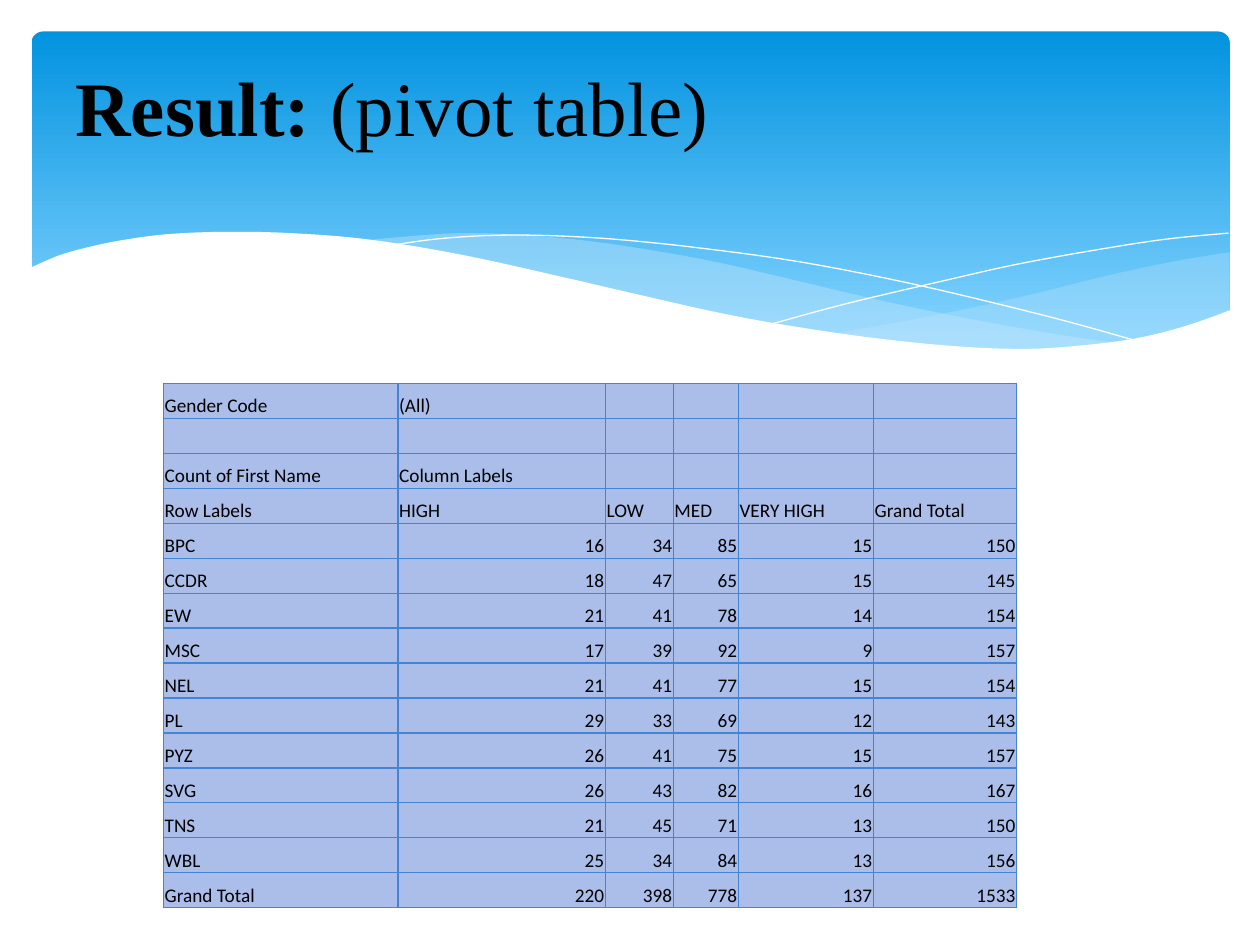
from lxml import etree
from pptx import Presentation
from pptx.dml.color import RGBColor
from pptx.enum import shapes, text
from pptx.oxml.ns import qn
from pptx.util import Pt

COUNTS = {
    "BPC": [16, 34, 85, 15],
    "CCDR": [18, 47, 65, 15],
    "EW": [21, 41, 78, 14],
    "MSC": [17, 39, 92, 9],
    "NEL": [21, 41, 77, 15],
    "PL": [29, 33, 69, 12],
    "PYZ": [26, 41, 75, 15],
    "SVG": [26, 43, 82, 16],
    "TNS": [21, 45, 71, 13],
    "WBL": [25, 34, 84, 13],
}
COLUMN_WIDTHS = [134, 118.6, 38.8, 37.2, 77.2, 81.8]
ROW_HEIGHT = 20

RIGHT_WAVE_TOP = [(702.7, 144), (673, 149), (641.5, 155.5), (620, 160.6),
                  (579.6, 170.6), (525, 182), (476, 190.8)]
RIGHT_WAVE_BOTTOM = [(476, 190.8), (507.6, 195), (545, 198.7), (586, 200.2),
                     (621.4, 198), (657.4, 192.2), (683.3, 185), (702.7, 177.8)]
MIDDLE_WAVE_TOP = [(643, 196.6), (602.6, 190.8), (558, 182.9), (508.3, 172.8),
                   (452.9, 159.8), (409.7, 149.8), (370, 142.6), (334.8, 137.5),
                   (302.4, 134.6), (273.6, 133.2), (247.7, 133.9), (206, 137.5)]
MIDDLE_WAVE_BOTTOM = [(206, 137.5), (246.2, 143.3), (290.9, 151.9), (323.3, 159.8),
                      (381.6, 172.8), (432.7, 183.6), (478.8, 191.5), (519.8, 197.3),
                      (556.6, 199.4), (589, 200.2), (617, 199.4), (643, 196.6)]
FALLING_LINE = [(222.5, 140.4), (247.7, 136.8), (278.6, 134.6), (311.8, 134.6),
                (352, 136.8), (400.3, 141.8), (457.9, 149.8), (523.4, 162.7),
                (598.3, 180.7), (653, 195.8)]
RISING_LINE = [(441.4, 185), (483.8, 173.5), (538.6, 160.6), (580.3, 151.2),
               (623.5, 143.3), (665.3, 136.8), (702, 133.2)]
FRONT_WAVE = [(703.4, 177.1), (676.8, 186.5), (647.3, 193.7), (612, 198),
              (582.5, 199.4), (547.9, 198), (509.8, 194.4), (466.6, 188.6),
              (416.9, 180), (362.2, 167.8), (321.8, 158.4), (262.8, 145.4),
              (210.2, 136.8), (165.6, 133.2), (127.4, 132.5), (95, 133.9),
              (68.4, 137.5), (48.2, 141.8), (33.1, 146.2), (16.6, 153.4)]
FRONT_CORNERS = [(16.6, 236.9), (703.4, 236.9)]


def color(value):
    return RGBColor.from_string(value)


def curve(knots, steps=5):
    """Return points on a Catmull-Rom curve through the knots."""
    padded = [knots[0], *knots, knots[-1]]
    points = [knots[0]]
    for a, b, c, d in zip(padded, padded[1:], padded[2:], padded[3:]):
        for step in range(1, steps + 1):
            t = step / steps
            points.append(tuple(
                (2 * q + (r - p) * t + (2 * p - 5 * q + 4 * r - s) * t ** 2
                 + (3 * q - p - 3 * r + s) * t ** 3) / 2
                for p, q, r, s in zip(a, b, c, d)))
    return points


class Painter:
    ink = "000000"
    wave = "C6E7FC"
    white = "FFFFFF"
    cell_fill = "ABBEEA"
    border = "4584D3"
    title_font = "Times New Roman"
    table_font = "Calibri"

    def __init__(self, page):
        self.page = page

    def banner(self, left, top, width, height):
        box = self.page.shapes.add_shape(
            shapes.MSO_SHAPE.ROUNDED_RECTANGLE, Pt(left), Pt(top), Pt(width), Pt(height))
        box.adjustments[0] = 0.034
        box.shadow.inherit = False
        box.line.fill.background()
        box.fill.gradient()
        box.fill.gradient_angle = 270
        for stop, place, shade in zip(box.fill.gradient_stops, (0, 0.9), ("0293E0", "83D3FE")):
            stop.position = place
            stop.color.rgb = color(shade)

    def outline(self, points, closed):
        corners = [(Pt(x), Pt(y)) for x, y in points]
        builder = self.page.shapes.build_freeform(*corners[0])
        builder.add_line_segments(corners[1:], close=closed)
        shape = builder.convert_to_shape()
        shape.shadow.inherit = False
        return shape

    def area(self, points, fill, opacity=100):
        shape = self.outline(points, True)
        shape.line.fill.background()
        shape.fill.solid()
        shape.fill.fore_color.rgb = color(fill)
        if opacity < 100:
            tone = shape.fill._xPr.find(".//" + qn("a:srgbClr"))
            etree.SubElement(tone, qn("a:alpha"), val=str(opacity * 1000))

    def hairline(self, points):
        shape = self.outline(points, False)
        shape.fill.background()
        shape.line.color.rgb = color(self.white)
        shape.line.width = Pt(0)

    def set_font(self, para, name, size):
        """Style the paragraph and its runs, as some viewers skip the paragraph font."""
        for font in [para.font, *(span.font for span in para.runs)]:
            font.name = name
            font.size = Pt(size)
            font.color.rgb = color(self.ink)

    def title(self, left, top, width, height, bold_part, plain_part):
        frame = self.page.shapes.add_textbox(
            Pt(left), Pt(top), Pt(width), Pt(height)).text_frame
        frame.word_wrap = True
        frame.vertical_anchor = text.MSO_ANCHOR.MIDDLE
        para = frame.paragraphs[0]
        for wording, bold in ((bold_part, True), (plain_part, False)):
            span = para.add_run()
            span.text = wording
            span.font.bold = bold
        self.set_font(para, self.title_font, 44)

    def cell(self, cell, value):
        cell.margin_left = cell.margin_right = cell.margin_top = Pt(0.7)
        cell.margin_bottom = 0
        cell.vertical_anchor = text.MSO_ANCHOR.BOTTOM
        cell.text = str(value)
        para = cell.text_frame.paragraphs[0]
        if isinstance(value, int):
            para.alignment = text.PP_ALIGN.RIGHT
        self.set_font(para, self.table_font, 11)
        if value == "":
            etree.SubElement(para._p, qn("a:endParaRPr"), sz="1100")
        properties = cell._tc.get_or_add_tcPr()
        for side in ("lnL", "lnR", "lnT", "lnB"):
            edge = etree.SubElement(properties, qn("a:" + side), w=str(Pt(0.75)))
            paint = etree.SubElement(edge, qn("a:solidFill"))
            etree.SubElement(paint, qn("a:srgbClr"), val=self.border)
        cell.fill.solid()
        cell.fill.fore_color.rgb = color(self.cell_fill)

    def table(self, left, top, rows):
        table = self.page.shapes.add_table(
            len(rows), len(COLUMN_WIDTHS), Pt(left), Pt(top),
            Pt(sum(COLUMN_WIDTHS)), Pt(ROW_HEIGHT * len(rows))).table
        table.first_row = table.horz_banding = False
        for column, width in zip(table.columns, COLUMN_WIDTHS):
            column.width = Pt(width)
        for row, values in zip(table.rows, rows):
            row.height = Pt(ROW_HEIGHT)
            padded = values + [""] * (len(COLUMN_WIDTHS) - len(values))
            for cell, value in zip(row.cells, padded):
                self.cell(cell, value)


def pivot_rows():
    totals = [sum(column) for column in zip(*COUNTS.values())]
    body = {**COUNTS, "Grand Total": totals}
    return [
        ["Gender Code", "(All)"],
        [],
        ["Count of First Name", "Column Labels"],
        ["Row Labels", "HIGH", "LOW", "MED", "VERY HIGH", "Grand Total"],
        *([label, *counts, sum(counts)] for label, counts in body.items()),
    ]


def main():
    deck = Presentation()
    deck.slide_width, deck.slide_height = Pt(720), Pt(540)
    painter = Painter(deck.slides.add_slide(deck.slide_layouts[6]))
    painter.banner(18, 18, 684.7, 194.4)
    painter.area(curve(RIGHT_WAVE_TOP) + curve(RIGHT_WAVE_BOTTOM), painter.wave, 29)
    painter.area(curve(MIDDLE_WAVE_TOP) + curve(MIDDLE_WAVE_BOTTOM), painter.wave, 40)
    painter.hairline(curve(FALLING_LINE))
    painter.hairline(curve(RISING_LINE))
    painter.area(curve(FRONT_WAVE) + FRONT_CORNERS, painter.white)
    painter.title(36, 26.6, 648, 67.7, "Result: ", "(pivot table)")
    painter.table(93.4, 219, pivot_rows())
    deck.save("out.pptx")


if __name__ == "__main__":
    main()
